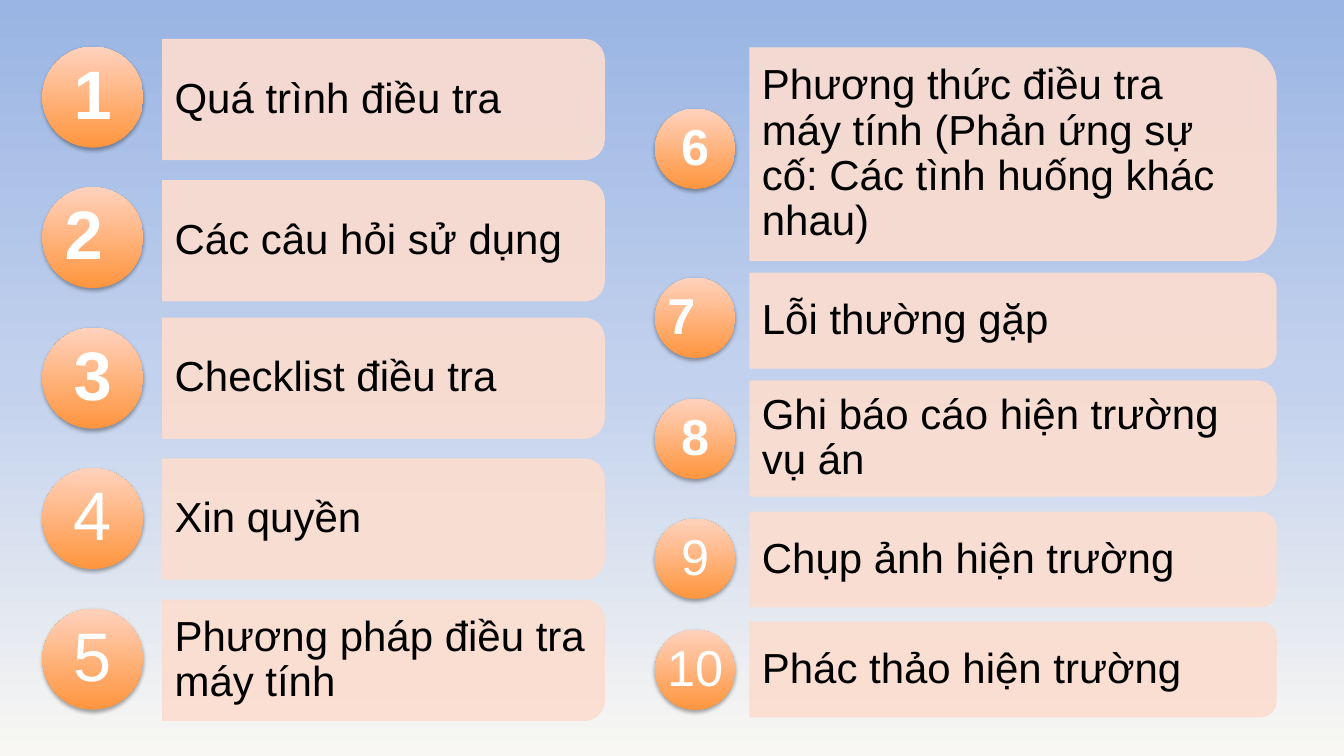
"""Builds an agenda slide of ten numbered topics in two columns."""
from copy import deepcopy

from lxml.etree import SubElement
from pptx import Presentation
from pptx.dml.color import RGBColor
from pptx.enum.shapes import MSO_SHAPE as Shape
from pptx.enum.text import MSO_ANCHOR as Anchor, PP_ALIGN as Align
from pptx.oxml.ns import qn
from pptx.util import Cm, Pt


def color(value):
    return RGBColor.from_string(value)


def write(shape, text, size, text_color, bold, align, insets):
    frame = shape.text_frame
    frame.word_wrap = True
    frame.vertical_anchor = Anchor.MIDDLE
    frame.margin_left, frame.margin_top, frame.margin_right, frame.margin_bottom = map(Cm, insets)
    paragraph = frame.paragraphs[0]
    paragraph.alignment = align
    paragraph.line_spacing = 0.9
    run = paragraph.add_run()
    run.text = text
    run.font.name = "Arial"
    run.font.size = Pt(size)
    run.font.bold = bold
    run.font.color.rgb = color(text_color)


presentation = Presentation()
presentation.slide_width = Cm(33.87)
presentation.slide_height = Cm(19.05)
slide = presentation.slides.add_slide(presentation.slide_layouts[6])

background = slide.background.fill
background.gradient()
background.gradient_angle = 270
stop_list = slide.element.find(".//" + qn("a:gsLst"))
stop_list.append(deepcopy(stop_list[-1]))
for stop, position, value in zip(background.gradient_stops, (0, 0.5, 1), ("9AB5E4", "C2D1ED", "F8F7F3")):
    stop.position = position
    stop.color.rgb = color(value)

# Each topic: number, text, panel middle, panel height, circle middle, bold, right inset of the number
columns = [
    (4.1, 11.13, 1.07, 2.54, 49, [
        ("1", "Quá trình điều tra", 2.51, 3.03, 2.45, True, 0),
        ("2", "Các câu hỏi sử dụng", 6.07, 3.03, 5.99, True, 0.46),
        ("3", "Checklist điều tra", 9.53, 3.03, 9.53, True, 0),
        ("4", "Xin quyền", 13.08, 3.03, 13.07, False, 0),
        ("5", "Phương pháp điều tra máy tính", 16.64, 3.03, 16.61, False, 0),
    ]),
    (18.9, 13.26, 16.51, 2.02, 36, [
        ("6", "Phương thức điều tra máy tính (Phản ứng sự cố: Các tình huống khác nhau)",
         3.89, 5.36, 3.75, True, 0),
        ("7", "Lỗi thường gặp", 8.08, 2.39, 8.01, True, 0.7),
        ("8", "Ghi báo cáo hiện trường vụ án", 11.05, 2.9, 11.06, True, 0),
        ("9", "Chụp ảnh hiện trường", 14.1, 2.39, 14.08, False, 0),
        ("10", "Phác thảo hiện trường", 16.87, 2.39, 16.88, False, 0),
    ]),
]

for panel_left, panel_width, circle_left, diameter, number_size, topics in columns:
    group = slide.shapes.add_group_shape()
    for number, topic, panel_middle, panel_height, circle_middle, bold, number_inset in topics:
        panel = group.shapes.add_shape(
            Shape.ROUND_2_SAME_RECTANGLE,
            Cm(panel_left + (panel_width - panel_height) / 2), Cm(panel_middle - panel_width / 2),
            Cm(panel_height), Cm(panel_width))
        panel.rotation = 90
        panel.shadow.inherit = False
        panel.line.width = Pt(0.75)
        for fill in (panel.fill, panel.line.fill):
            fill.solid()
            fill.fore_color.rgb = color("FCDDCF")
        for value in panel.element.spPr.iter(qn("a:srgbClr")):
            SubElement(value, qn("a:alpha"), val="90000")

        corner = 0.05 * panel_height
        label = group.shapes.add_textbox(
            Cm(panel_left), Cm(panel_middle - panel_height / 2 + corner),
            Cm(panel_width - corner), Cm(panel_height - 2 * corner))
        write(label, topic, 30, "000000", False, Align.LEFT, (0.3, 0.2, 0.3, 0.2))

        circle = group.shapes.add_shape(
            Shape.OVAL, Cm(circle_left), Cm(circle_middle - diameter / 2), Cm(diameter), Cm(diameter))
        circle.line.fill.background()
        circle.fill.gradient()
        circle.fill.gradient_angle = 90
        for stop, value in zip(circle.fill.gradient_stops, ("FF953E", "FFD2BD")):
            stop.color.rgb = color(value)
        circle.shadow.inherit = False
        effects = circle.element.spPr.find(qn("a:effectLst"))
        shadow = SubElement(effects, qn("a:outerShdw"), blurRad=str(Pt(3.1)), dist=str(Pt(1.8)),
                            dir="5400000", rotWithShape="0")
        shadow_color = SubElement(shadow, qn("a:srgbClr"), val="000000")
        SubElement(shadow_color, qn("a:alpha"), val="35000")
        write(circle, number, number_size, "FFFFFF", bold, Align.CENTER, (0, 0, number_inset, 0))

presentation.save("out.pptx")
